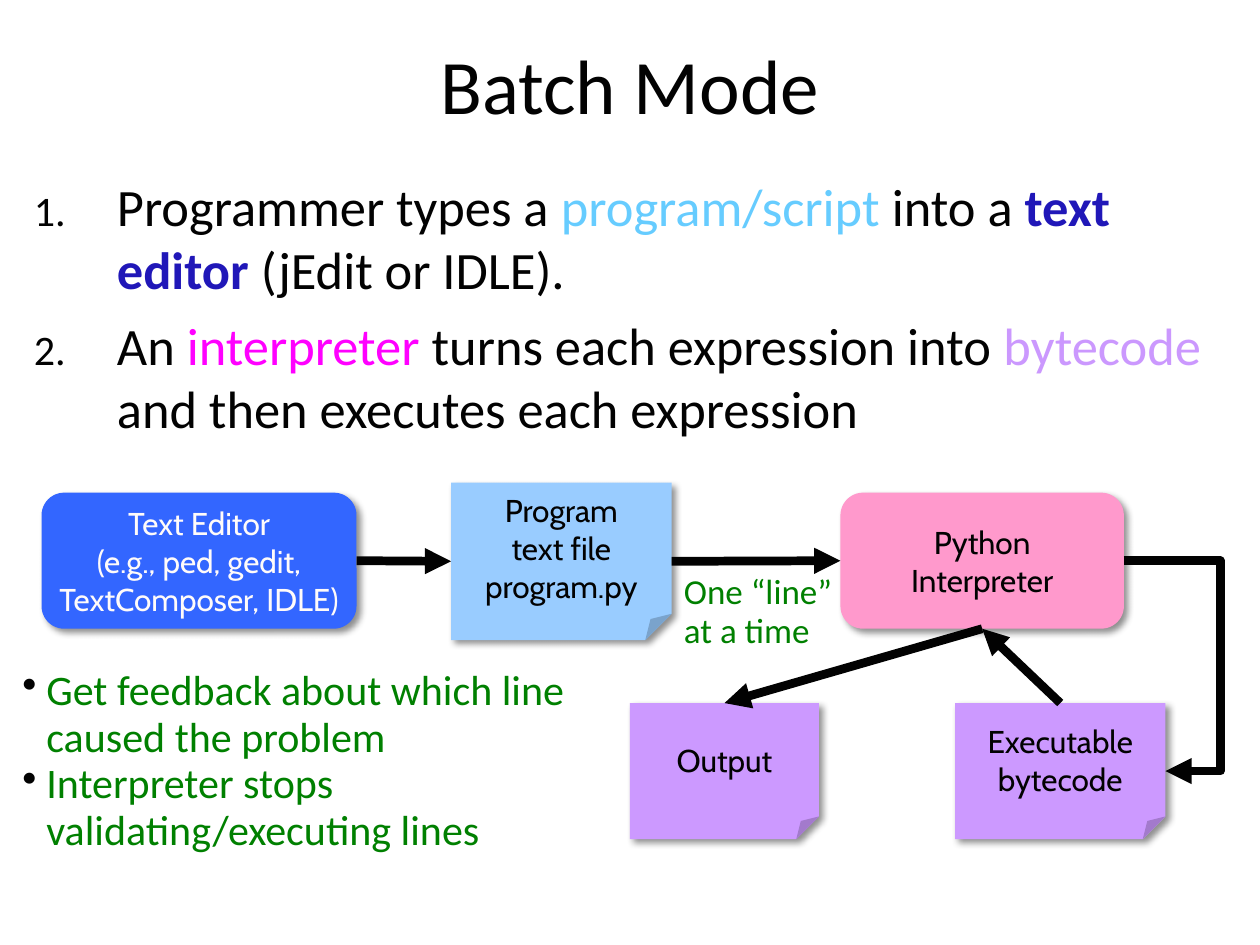
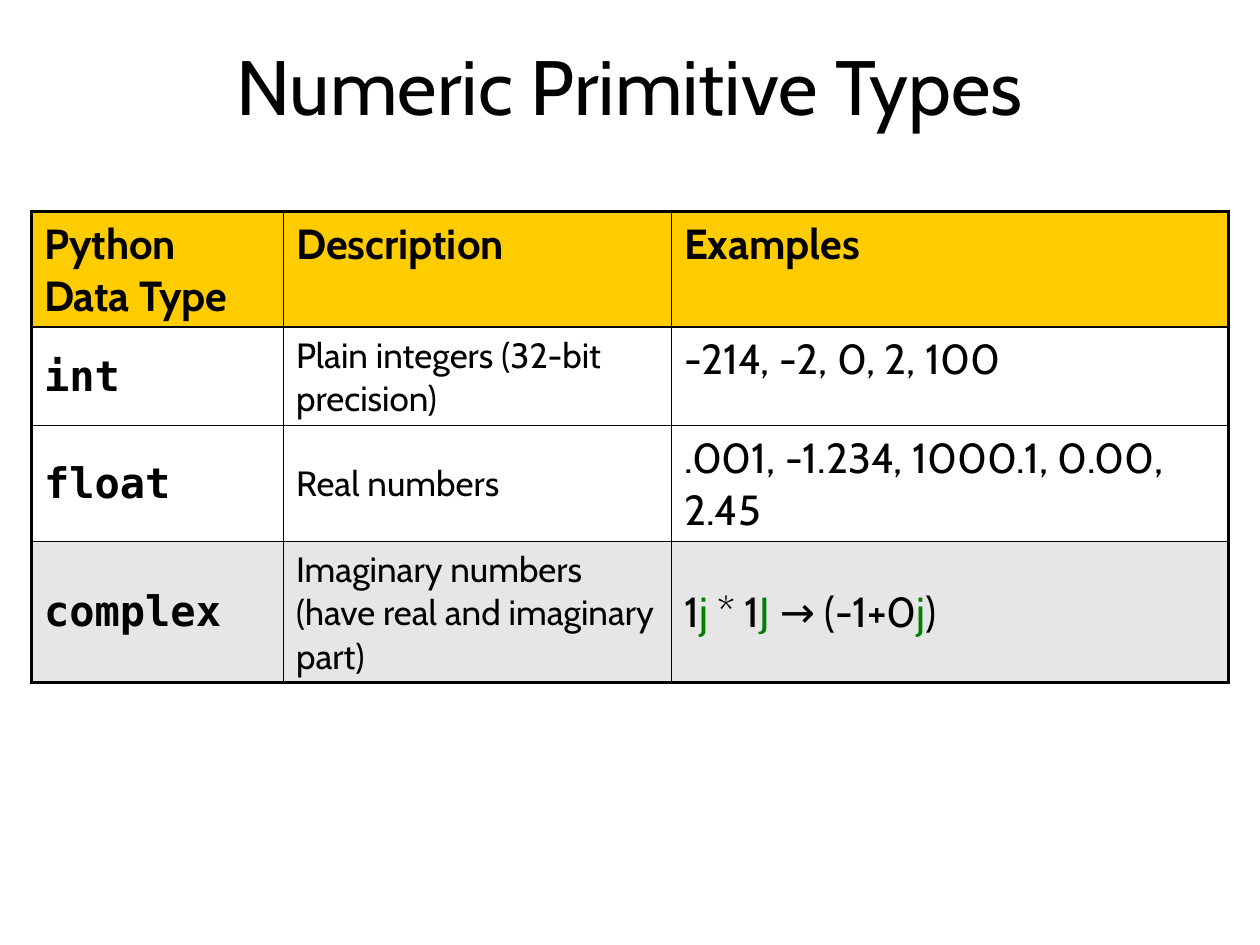
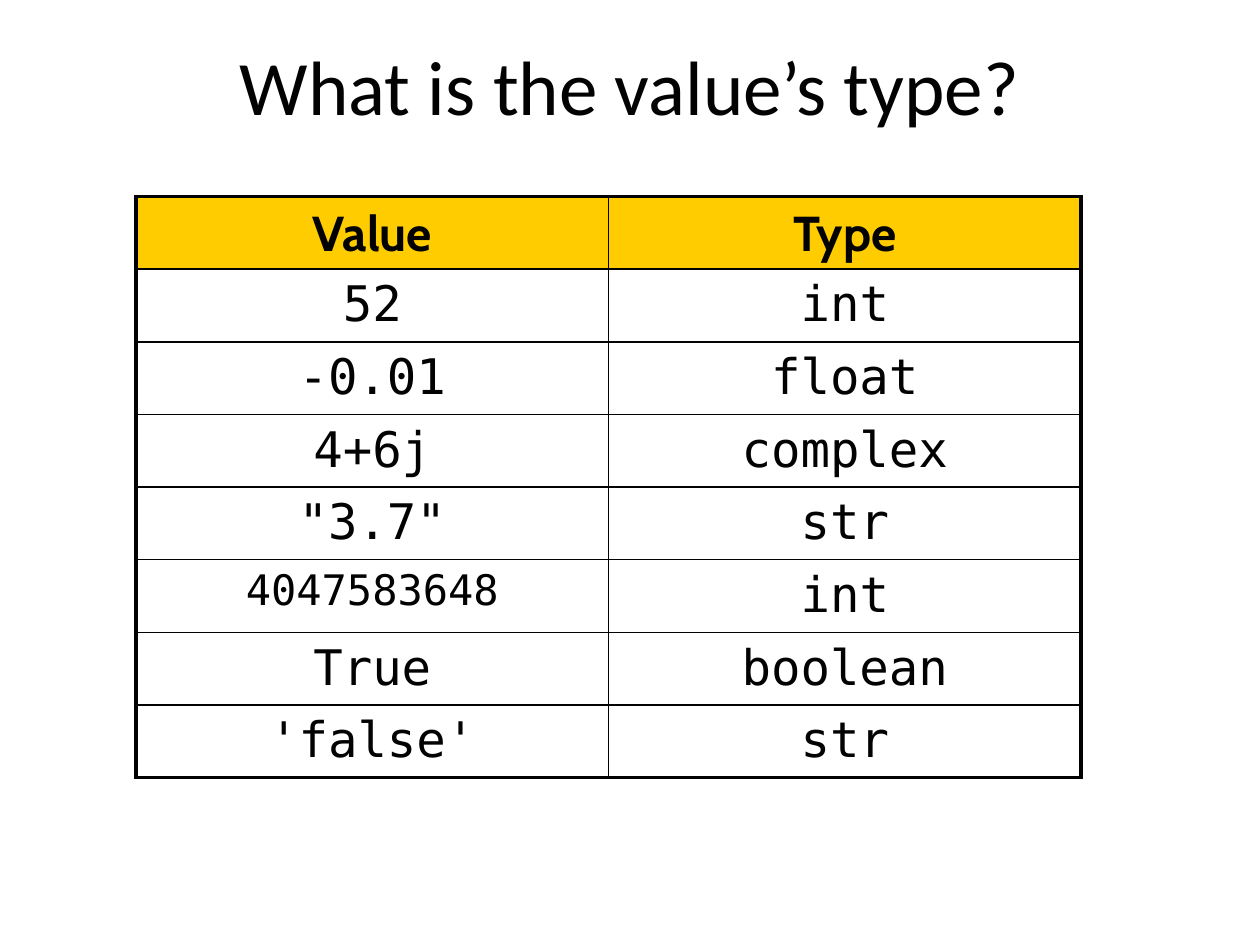
from dataclasses import dataclass, field
from typing import Any, NamedTuple

from lxml import etree
from pptx import Presentation
from pptx import util as u
from pptx.dml.color import RGBColor
from pptx.enum import shapes, text
from pptx.oxml import ns

PX = u.Inches(1) // 100  # one px is a hundredth of an inch

INK = RGBColor(0x02, 0x02, 0x02)
OFF_WHITE = RGBColor(0xFF, 0xFB, 0xFA)
GREEN = RGBColor(0x00, 0x80, 0x00)
SKY = RGBColor(0x66, 0xCC, 0xFF)
NAVY = RGBColor(0x20, 0x17, 0xB8)
MAGENTA = RGBColor(0xFF, 0x00, 0xFF)
LILAC = RGBColor(0xCB, 0x98, 0xFE)
BLUE = RGBColor(0x33, 0x66, 0xFF)
PALE_BLUE = RGBColor(0x99, 0xCC, 0xFF)
PINK = RGBColor(0xFF, 0x99, 0xCC)
PURPLE = RGBColor(0xCC, 0x99, 0xFF)
GOLD = RGBColor(0xFF, 0xCC, 0x00)
GREY = RGBColor(0xE6, 0xE6, 0xE6)

SANS, ROUNDED, MONO = "Calibri", "Cabin", "DejaVu Sans Mono"
CENTER = text.PP_ALIGN.CENTER
MIDDLE, TOP = text.MSO_ANCHOR.MIDDLE, text.MSO_ANCHOR.TOP
ROUND = shapes.MSO_SHAPE.ROUNDED_RECTANGLE
NOTE = shapes.MSO_SHAPE.FOLDED_CORNER
SITE_TOP, SITE_LEFT, SITE_BOTTOM, SITE_RIGHT = range(4)
TABLE_SPACING = 1.02
OUTER_WIDTH, INNER_WIDTH = 2.25, 1


class Rect(NamedTuple):
    left: int
    top: int
    width: int
    height: int

    def emu(self) -> list[int]:
        return [value * PX for value in self]


class Style(NamedTuple):
    name: str
    size: int
    color: RGBColor = INK
    bold: bool = False


class Span(NamedTuple):
    text: str
    changes: dict[str, Any] = {}


@dataclass
class Line:
    """One paragraph: its spans, paragraph attributes, hanging indent and bullet."""
    spans: list[Span]
    formats: dict[str, Any] = field(default_factory=dict)
    margin: int = 0
    indent: int = 0
    bullet: tuple[tuple[str, dict[str, str]], ...] = ()


@dataclass
class Node:
    rect: Rect
    kind: shapes.MSO_SHAPE
    fill: RGBColor
    lines: list[Line]
    color: RGBColor = INK


@dataclass
class Entry:
    """One table cell."""
    spans: list[Span]
    style: Style
    anchor: text.MSO_ANCHOR = TOP
    fill: RGBColor | None = None


def set_all(target: Any, values: dict[str, Any]) -> None:
    for name, value in values.items():
        setattr(target, name, value)


def add_xml(parent: Any, tag: str, **attributes: str) -> Any:
    return etree.SubElement(parent, ns.qn(tag), attributes)


def plain(words: str, **formats: Any) -> Line:
    return Line([Span(words)], formats)


def write(frame: Any, lines: list[Line], style: Style) -> None:
    for index, line in enumerate(lines):
        para = frame.paragraphs[0] if index == 0 else frame.add_paragraph()
        properties = para._p.get_or_add_pPr()
        if line.indent:
            properties.set("marL", str(line.margin * PX))
            properties.set("indent", str(line.indent * PX))
        for tag, attributes in line.bullet:
            if tag == "a:buClr":
                add_xml(add_xml(properties, tag), "a:srgbClr", **attributes)
            else:
                add_xml(properties, tag, **attributes)
        set_all(para, line.formats)
        for part in line.spans:
            look = style._replace(**part.changes)
            for number, piece in enumerate(part.text.split("\n")):
                if number:
                    para.add_line_break()
                span = para.add_run()
                span.text = piece
                set_all(span.font, {"name": look.name, "size": u.Pt(look.size),
                                    "bold": look.bold})
                span.font.color.rgb = look.color


def add_text(page: Any, rect: Rect, lines: list[Line], style: Style,
             anchor: text.MSO_ANCHOR = TOP) -> None:
    frame = page.shapes.add_textbox(*rect.emu()).text_frame
    set_all(frame, {"word_wrap": True, "vertical_anchor": anchor})
    write(frame, lines, style)


def add_page(deck: Any, title: str, font: str, spacing: float = 1.0) -> Any:
    page = deck.slides.add_slide(deck.slide_layouts[6])
    add_text(page, Rect(25, 24, 950, 85),
             [plain(title, alignment=CENTER, line_spacing=spacing)],
             Style(font, 44), MIDDLE)
    return page


def add_node(page: Any, node: Node) -> Any:
    box = page.shapes.add_shape(node.kind, *node.rect.emu())
    box.fill.solid()
    box.fill.fore_color.rgb = node.fill
    box.line.fill.background()
    box.shadow.inherit = False
    effects = box._element.spPr.find(ns.qn("a:effectLst"))
    shadow = add_xml(effects, "a:outerShdw", blurRad=str(u.Pt(4)), dist=str(u.Pt(3)),
                     dir="2700000", algn="ctr", rotWithShape="0")
    add_xml(add_xml(shadow, "a:srgbClr", val="000000"), "a:alpha", val="43000")
    set_all(box.text_frame, {"word_wrap": False, "vertical_anchor": MIDDLE})
    for line in node.lines:
        line.formats["alignment"] = CENTER
    write(box.text_frame, node.lines, Style(ROUNDED, 18, node.color))
    return box


def add_arrow(page: Any, kind: shapes.MSO_CONNECTOR, *ends: int) -> Any:
    arrow = page.shapes.add_connector(kind, *(end * PX for end in ends))
    arrow.line.width = u.Pt(5)
    arrow.line.color.rgb = INK
    add_xml(arrow.line._get_or_add_ln(), "a:tailEnd", type="triangle")
    add_xml(arrow._element.spPr, "a:effectLst")
    return arrow


def join(page: Any, start: Any, start_site: int, end: Any, end_site: int) -> None:
    arrow = add_arrow(page, shapes.MSO_CONNECTOR.STRAIGHT, 0, 0, 0, 0)
    arrow.begin_connect(start, start_site)
    arrow.end_connect(end, end_site)


def draw_border(cell: Any, side: str, points: float) -> None:
    border = add_xml(cell._tc.get_or_add_tcPr(), f"a:ln{side}", w=str(u.Pt(points)))
    add_xml(add_xml(border, "a:solidFill"), "a:srgbClr", val=str(INK))


def add_grid(page: Any, rect: Rect, widths: list[int], rows: list[list[Entry]],
             formats: dict[str, Any]) -> Any:
    """Draw a table with a heavy frame and thin inner rules."""
    table = page.shapes.add_table(len(rows), len(widths), *rect.emu()).table
    set_all(table, {"first_row": False, "horz_banding": False})
    for column, width in zip(table.columns, widths):
        column.width = width * PX
    for r, row in enumerate(rows):
        for c, entry in enumerate(row):
            cell = table.cell(r, c)
            edges = {"L": c == 0, "R": c == len(widths) - 1,
                     "T": r == 0, "B": r == len(rows) - 1}
            for side, outer in edges.items():
                draw_border(cell, side, OUTER_WIDTH if outer else INNER_WIDTH)
            if entry.fill is None:
                cell.fill.background()
            else:
                cell.fill.solid()
                cell.fill.fore_color.rgb = entry.fill
            cell.vertical_anchor = entry.anchor
            write(cell.text_frame,
                  [Line(entry.spans, {"line_spacing": TABLE_SPACING, **formats})],
                  entry.style)
    return table


def header(labels: list[str], size: int) -> list[Entry]:
    return [Entry([Span(label)], Style(ROUNDED, size, bold=True), fill=GOLD)
            for label in labels]


def build_batch_mode(deck: Any) -> None:
    page = add_page(deck, "Batch Mode", SANS)
    numbered = (("a:buSzPct", {"val": "80000"}),
                ("a:buFont", {"typeface": SANS}),
                ("a:buAutoNum", {"type": "arabicPeriod"}))
    steps = [
        [Span("Programmer types a "), Span("program/script", {"color": SKY}),
         Span(" into a "), Span("text editor ", {"color": NAVY, "bold": True}),
         Span("(jEdit or IDLE).")],
        [Span("An "), Span("interpreter", {"color": MAGENTA}),
         Span(" turns each expression into "), Span("bytecode", {"color": LILAC}),
         Span(" and then executes each expression")],
    ]
    add_text(page, Rect(17, 133, 950, 222),
             [Line(spans, {"space_before": u.Pt(7.5 if index else 0)}, 66, -66, numbered)
              for index, spans in enumerate(steps)],
             Style(SANS, 30))

    interpreter, program, output, editor, bytecode = (add_node(page, node) for node in [
        Node(Rect(667, 391, 225, 108), ROUND, PINK, [plain("Python\nInterpreter")]),
        Node(Rect(358, 383, 175, 125), NOTE, PALE_BLUE,
             [plain("Program"), plain("text file"),
              Line([Span("program.py")], indent=-12)]),
        Node(Rect(500, 558, 150, 108), NOTE, PURPLE, [plain("Output")]),
        Node(Rect(33, 391, 250, 108), ROUND, BLUE,
             [plain("Text Editor"), plain("(e.g., ped, gedit,\nTextComposer, IDLE)")],
             OFF_WHITE),
        Node(Rect(758, 558, 167, 108), NOTE, PURPLE,
             [plain("Executable"), plain("bytecode")]),
    ])
    join(page, editor, SITE_RIGHT, program, SITE_LEFT)
    join(page, program, SITE_RIGHT, interpreter, SITE_LEFT)
    join(page, bytecode, SITE_TOP, interpreter, SITE_BOTTOM)
    join(page, interpreter, SITE_BOTTOM, output, SITE_TOP)
    bend = add_arrow(page, shapes.MSO_CONNECTOR.ELBOW, 892, 445, 925, 612)
    guides = bend._element.spPr.find(ns.qn("a:prstGeom")).get_or_add_avLst()
    add_xml(guides, "a:gd", name="adj1", fmla="val 231800")

    add_text(page, Rect(533, 450, 150, 73),
             [plain("One “line” at a time", line_spacing=0.93)], Style(SANS, 20, GREEN))
    dotted = (("a:buClr", {"val": str(INK)}), ("a:buChar", {"char": "•"}))
    remarks = ["Get feedback about which line caused the problem",
               "Interpreter stops validating/executing lines"]
    add_text(page, Rect(8, 525, 483, 161),
             [Line([Span(remark)], {"line_spacing": 0.93}, 19, -19, dotted)
              for remark in remarks],
             Style(SANS, 24, GREEN))


def build_numeric_types(deck: Any) -> None:
    page = add_page(deck, "Numeric Primitive Types", ROUNDED, TABLE_SPACING)
    unit = {"color": GREEN}
    types = [
        ("int", "Plain integers (32-bit precision)",
         [Span("-214, -2, 0, 2, 100")], TOP, None),
        ("float", "Real numbers",
         [Span(".001, -1.234, 1000.1, 0.00, 2.45")], TOP, None),
        ("complex", "Imaginary numbers (have real and imaginary part)",
         [Span("1"), Span("j", unit), Span(" * 1"), Span("J ", unit),
          Span("→ (-1+0"), Span("j", unit), Span(")")], MIDDLE, GREY),
    ]
    rows = [header(["Python Data Type", "Description", "Examples"], 24)]
    for name, description, examples, anchor, fill in types:
        rows.append([
            Entry([Span(name)], Style(MONO, 24, bold=True), MIDDLE, fill),
            Entry([Span(description)], Style(ROUNDED, 20), MIDDLE, fill),
            Entry(examples, Style(ROUNDED, 24), anchor, fill),
        ])
    table = add_grid(page, Rect(25, 168, 950, 373), [200, 308, 442], rows, {})
    for row, height in zip(table.rows, [91, 78, 92, 112]):
        row.height = height * PX


def build_value_types(deck: Any) -> None:
    page = add_page(deck, "What is the value’s type?", SANS, TABLE_SPACING)
    pairs = [("52", "int"), ("-0.01", "float"), ("4+6j", "complex"), ('"3.7"', "str"),
             ("4047583648", "int"), ("True", "boolean"), ("'false'", "str")]
    rows = [header(["Value", "Type"], 28)]
    for pair in pairs:
        rows.append([Entry([Span(word)], Style(MONO, 24 if len(word) > 8 else 28))
                     for word in pair])
    add_grid(page, Rect(108, 156, 750, 461), [375, 375], rows, {"alignment": CENTER})


def main() -> None:
    deck = Presentation()
    deck.slide_width, deck.slide_height = 1000 * PX, 750 * PX
    build_batch_mode(deck)
    build_numeric_types(deck)
    build_value_types(deck)
    deck.save("out.pptx")


if __name__ == "__main__":
    main()
